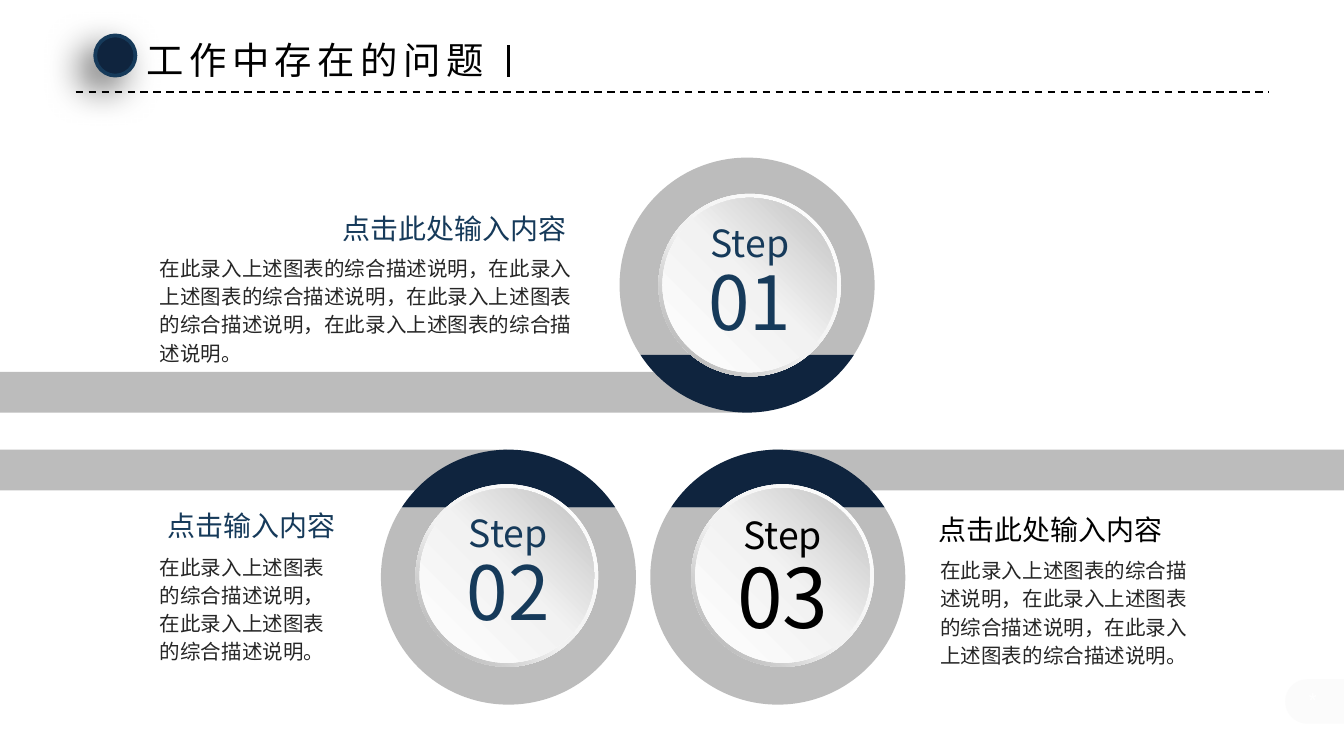
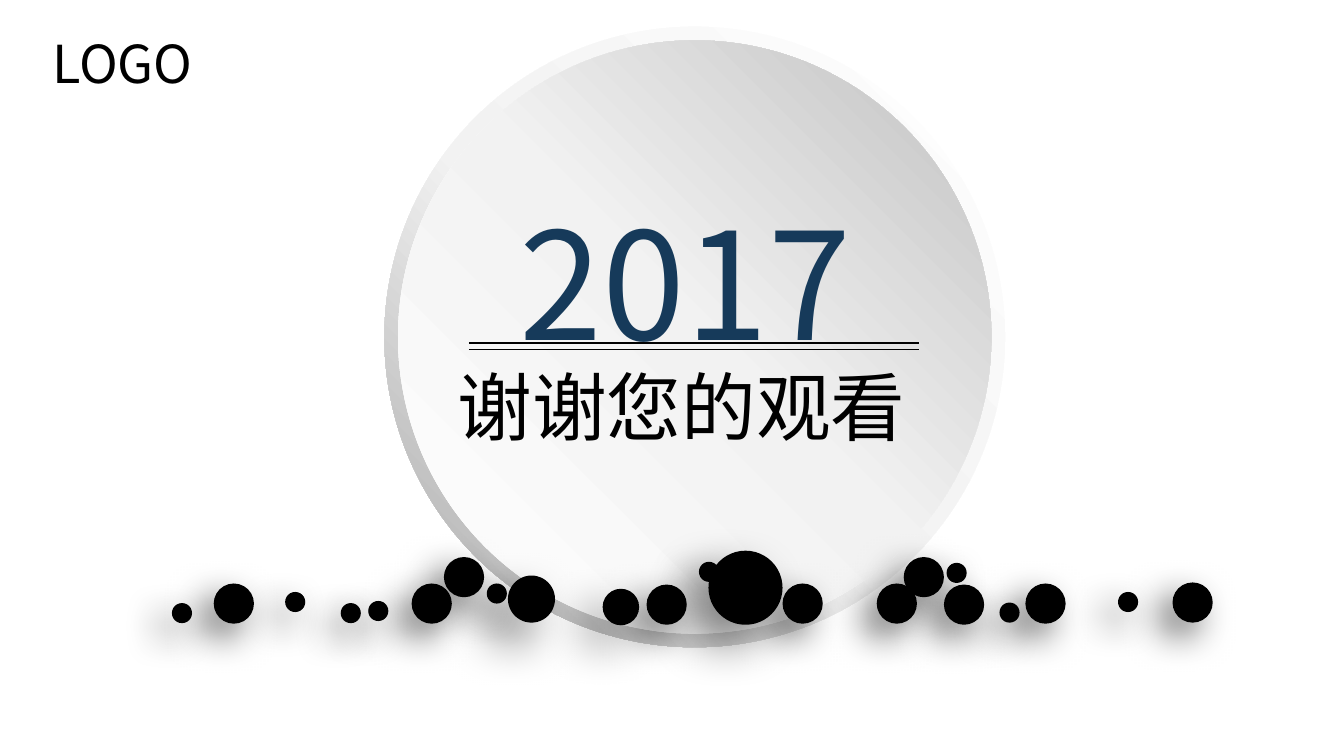
from copy import deepcopy
from dataclasses import dataclass
from math import acos, cos, pi, sin, tan

from lxml.etree import SubElement
from pptx import Presentation
from pptx.dml.color import RGBColor as Rgb
from pptx.enum.dml import MSO_LINE as Dash
from pptx.enum.shapes import MSO_CONNECTOR as Link, MSO_SHAPE as Kind
from pptx.enum.text import MSO_ANCHOR as Anchor, MSO_AUTO_SIZE as Fit, PP_ALIGN as Align
from pptx.oxml.ns import qn
from pptx.util import Cm, Pt


@dataclass(frozen=True)
class Theme:
    font: str = "Noto Sans CJK SC"
    mono: str = "Courier New"
    ink: str = "000000"
    navy: str = "0F243E"
    blue: str = "163A5A"
    gray: str = "595959"
    body: str = "262626"
    pale: str = "F2F2F2"
    white: str = "FFFFFF"
    small: int = 11
    head: int = 15
    title: int = 20
    logo: int = 28
    large: int = 40
    huge: int = 44
    year: int = 80
    rim: tuple = ((0, "FFFFFF"), (0.55, "F2F2F2"), (1, "A6A6A6"))
    face: tuple = ((0, "FFFFFF"), (0.51, "F2F2F2"), (1, "BFBFBF"))
    # opacity %, blur pt, distance pt
    near: tuple = (60, 20, 10)
    far: tuple = (50, 25, 15)


T = Theme()
TIGHT = (0.18, 0.1)
LOOSE = (0.25, 0.13)
OUTER, INNER, CHORD, BAND = 2.41, 1.64, 1.32, 0.77


def arc(x, y, r, start, end):
    """Bezier points of an arc, cut at each quarter; angles run clockwise from the top."""
    low, high = sorted((start, end))
    quarters = [k * pi / 2 for k in range(-2, 8)]
    inner = [q for q in quarters if low + 0.01 < q < high - 0.01]
    cuts = [low, *inner, high]
    if end < start:
        cuts.reverse()
    points = [(x + r * sin(start), y - r * cos(start))]
    for a, b in zip(cuts, cuts[1:]):
        pull = r * 4 / 3 * tan((b - a) / 4)
        left, top = points[-1]
        right, foot = x + r * sin(b), y - r * cos(b)
        points += [(left + pull * cos(a), top + pull * sin(a)),
                   (right - pull * cos(b), foot - pull * sin(b)), (right, foot)]
    return points


class Deck:
    def __init__(self, theme):
        self.theme = theme
        self.prs = Presentation()
        self.prs.slide_width, self.prs.slide_height = Cm(25.4), Cm(14.29)
        self.slide = None

    def add(self):
        self.slide = self.prs.slides.add_slide(self.prs.slide_layouts[5])

    def paint(self, shape, color, alpha=None, edge=None, shade=None):
        shape.shadow.inherit = False
        props = shape.element.spPr
        if isinstance(color, str):
            shape.fill.solid()
            shape.fill.fore_color.rgb = Rgb.from_string(color)
            if alpha:
                node = props.find(qn("a:solidFill")).find(qn("a:srgbClr"))
                SubElement(node, qn("a:alpha"), val=str(alpha * 1000))
        else:
            shape.fill.gradient()
            stops = props.find(qn("a:gradFill")).find(qn("a:gsLst"))
            stops.append(deepcopy(stops[-1]))
            for stop, (place, tone) in zip(shape.fill.gradient_stops, color):
                stop.position = place
                stop.color.rgb = Rgb.from_string(tone)
        if edge:
            shape.line.color.rgb = Rgb.from_string(edge)
            shape.line.width = Pt(2)
        else:
            shape.line.fill.background()
        if shade:
            opaque, blur, dist = shade
            cast = SubElement(
                props.find(qn("a:effectLst")), qn("a:outerShdw"),
                blurRad=str(Pt(blur)), dist=str(Pt(dist)), dir="8100000",
                algn="tr", rotWithShape="0")
            node = SubElement(cast, qn("a:srgbClr"), val=self.theme.ink)
            SubElement(node, qn("a:alpha"), val=str(opaque * 1000))

    def shape(self, kind, box, color, **look):
        item = self.slide.shapes.add_shape(kind, *map(Cm, box))
        self.paint(item, color, **look)
        return item

    def dot(self, x, y, size, color, **look):
        return self.shape(Kind.OVAL, (x, y, size, size), color, **look)

    def form(self, arcs, color, alpha=None, ends=()):
        """Draw an outline of arcs joined by lines, then straight to the ends."""
        spots = [(Cm(x), Cm(y)) for x, y in [*sum(arcs, []), *ends]]
        pen = self.slide.shapes.build_freeform(*spots[0])
        pen.add_line_segments(spots[1:], close=True)
        item = pen.convert_to_shape()
        steps = list(next(item.element.iter(qn("a:path"))))
        first = 0
        for points in arcs:
            for i in range(first + 1, first + len(points), 3):
                curve = SubElement(steps[i].getparent(), qn("a:cubicBezTo"))
                steps[i].addprevious(curve)
                for step in steps[i:i + 3]:
                    curve.append(step[0])
                    step.getparent().remove(step)
            first += len(points)
        self.paint(item, color, alpha=alpha)

    def line(self, x1, y1, x2, y2, width, dash=None):
        item = self.slide.shapes.add_connector(Link.STRAIGHT, *map(Cm, (x1, y1, x2, y2)))
        item.line.color.rgb = Rgb.from_string(self.theme.ink)
        item.line.width = Pt(width)
        if dash:
            item.line.dash_style = dash
        SubElement(item.element.spPr, qn("a:effectLst"))

    def text(self, box, rows, color=T.ink, align=Align.LEFT, pad=TIGHT,
             wrap=True, lead=1.0, font=T.font, track=0, item=None):
        """Fill a text box, or the given item, with (words, size) rows."""
        item = item or self.slide.shapes.add_textbox(0, 0, 0, 0)
        for name, value in zip(("left", "top", "width", "height"), box):
            setattr(item, name, Cm(value))
        frame = item.text_frame
        side, edge = map(Cm, pad)
        setup = {"margin_left": side, "margin_right": side, "margin_top": edge,
                 "margin_bottom": edge, "word_wrap": wrap,
                 "auto_size": Fit.SHAPE_TO_FIT_TEXT, "vertical_anchor": Anchor.TOP}
        for name, value in setup.items():
            setattr(frame, name, value)
        for i, (words, size) in enumerate(rows):
            par = frame.add_paragraph() if i else frame.paragraphs[0]
            par.alignment, par.line_spacing = align, lead
            run = par.add_run()
            run.text = words
            for name, value in {"size": Pt(size), "name": font}.items():
                setattr(run.font, name, value)
            run.font.color.rgb = Rgb.from_string(color)
            props = run.font._element
            SubElement(props, qn("a:ea"), typeface=font)
            if track:
                props.set("spc", str(track * 100))

    def title(self, box, words, size, track=0):
        item = self.slide.shapes.title
        item.element.getparent().append(item.element)
        self.text(box, [(words, size)], pad=LOOSE, wrap=False, track=track, item=item)

    def disc(self, x, y, size):
        """Draw a shaded disc with a bevelled rim, centred on x, y."""
        rim = self.shape(Kind.DONUT, (x - size / 2, y - size / 2, size, size), self.theme.rim)
        rim.adjustments[0] = 0.049
        rim.fill.gradient_angle = 225
        core = size * 0.956
        face = self.dot(x - core / 2, y - core / 2, core, self.theme.face)
        face.fill.gradient_angle = 45

    def ring(self, x, y, down):
        """Draw a ring whose cap, at the top or bottom, is navy."""
        wide, slim = acos(CHORD / OUTER), acos(CHORD / INNER)
        base = pi if down else 0
        body = [arc(x, y, OUTER, base + wide, base + 2 * pi - wide),
                arc(x, y, INNER, base + 2 * pi - slim, base + slim)]
        cap = [arc(x, y, OUTER, base - wide, base + wide),
               arc(x, y, INNER, base + slim, base - slim)]
        self.form(body, self.theme.gray, 40)
        self.form(cap, self.theme.navy)


@dataclass
class Step:
    ring: tuple
    disc: tuple
    bar: tuple  # left and width
    label: tuple
    number: str
    size: int
    color: str
    head: tuple
    name: str
    align: Align
    note: tuple
    count: int
    down: bool = False


STEPS = [
    Step((9.61, 10.91), (9.58, 10.88), (0, 9.58), (8.55, 9.64, 2.11, 2.49),
         "02", T.large, T.blue, (2.06, 9.52), "点击输入内容", Align.CENTER,
         (2.84, 10.33, 3.8), 2),
    Step((14.7, 10.91), (14.79, 10.88), (14.55, 10.85), (13.65, 9.68, 2.29, 2.67),
         "03", T.huge, T.ink, (17.17, 9.58), "点击此处输入内容", Align.CENTER,
         (17.59, 10.39, 5.38), 3),
    Step((14.12, 5.39), (14.17, 5.39), (0, 14.05), (13.11, 4.16, 2.13, 2.49),
         "01", T.large, T.blue, (5.51, 3.9), "点击此处输入内容", Align.RIGHT,
         (2.84, 4.68, 8.28), 4, True),
]
PHRASE = "在此录入上述图表的综合描述说明"

# (size, shadow, left and top of each dot)
DOTS = [
    (1.4, T.far, [(13.39, 10.41)]),
    (0.89, T.far, [(9.6, 10.88)]),
    (0.69, T.far, [(11.39, 11.13)]),
    (0.76, T.near, [(4.04, 11.03), (7.78, 11.03), (8.39, 10.53), (12.22, 11.05),
                    (14.79, 11.03), (16.57, 11.03), (17.08, 10.53), (17.84, 11.05),
                    (19.38, 11.03), (22.16, 11.01)]),
    (0.38, T.near, [(3.25, 11.4), (5.39, 11.19), (6.44, 11.4), (6.96, 11.36),
                    (9.2, 11.03), (13.21, 10.62), (17.89, 10.64), (18.89, 11.39),
                    (21.13, 11.19)]),
]


def issues(deck):
    deck.add()
    for step in STEPS:
        x, y = step.ring
        left, width = step.bar
        top = y + OUTER - BAND if step.down else y - OUTER
        deck.shape(Kind.RECTANGLE, (left, top, width, BAND), T.gray, alpha=40)
        deck.ring(x, y, step.down)
    deck.form([arc(24.71, 13.26, 0.42, 2 * pi, pi)], T.pale, 30,
              [(25.6, 13.68), (25.6, 12.84)])
    deck.text((24.46, 12.93, 0.94, 0.61), [("* ", T.small)], T.white,
              Align.CENTER, pad=(0.15, 0.08), font=T.mono)
    for step in STEPS:
        deck.disc(*step.disc, 3.45)
        deck.text(step.label, [("Step", T.title), (step.number, step.size)],
                  step.color, Align.CENTER, wrap=False, lead=0.9)
        deck.text((*step.head, 5.38, 0.84), [(step.name, T.head)], step.color, step.align)
        note = "，".join([PHRASE] * step.count) + "。"
        deck.text((*step.note, 2.34), [(note, T.small)], T.body, lead=1.14)
    deck.line(1.43, 1.74, 23.98, 1.74, 1, Dash.DASH)
    deck.dot(1.8, 0.67, 0.76, T.navy, edge=T.blue, shade=T.near)
    deck.title((2.51, 0.58, 7.06, 1.12), "工作中存在的问题", T.title, track=3)
    deck.line(9.61, 0.86, 9.61, 1.45, 1.5)


def thanks(deck):
    deck.add()
    deck.disc(13.13, 6.37, 11.73)
    deck.title((8.4, 6.69, 9.07, 1.96), "谢谢您的观看", T.large)
    for y in (6.48, 6.61):
        deck.line(8.86, y, 17.37, y, 0.75)
    deck.text((9.57, 3.48, 6.78, 3.63), [("2017", T.year)], T.blue, pad=LOOSE, wrap=False)
    for size, shade, spots in DOTS:
        for x, y in spots:
            deck.dot(x, y, size, T.ink, shade=shade)
    deck.text((0.74, 0.46, 3.38, 1.45), [("LOGO", T.logo)], pad=LOOSE, wrap=False)


def main():
    deck = Deck(T)
    issues(deck)
    thanks(deck)
    deck.prs.save("out.pptx")


if __name__ == "__main__":
    main()
